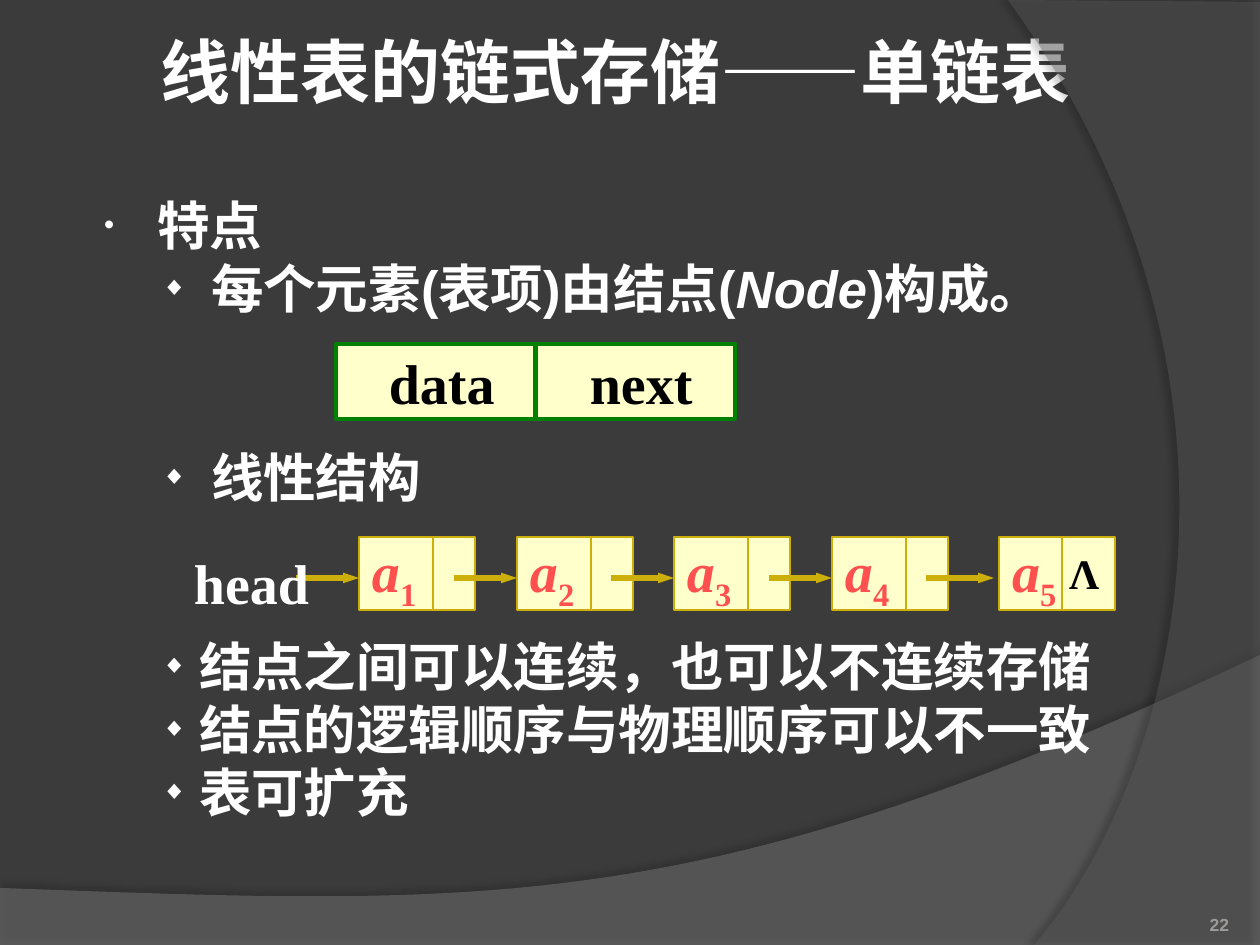
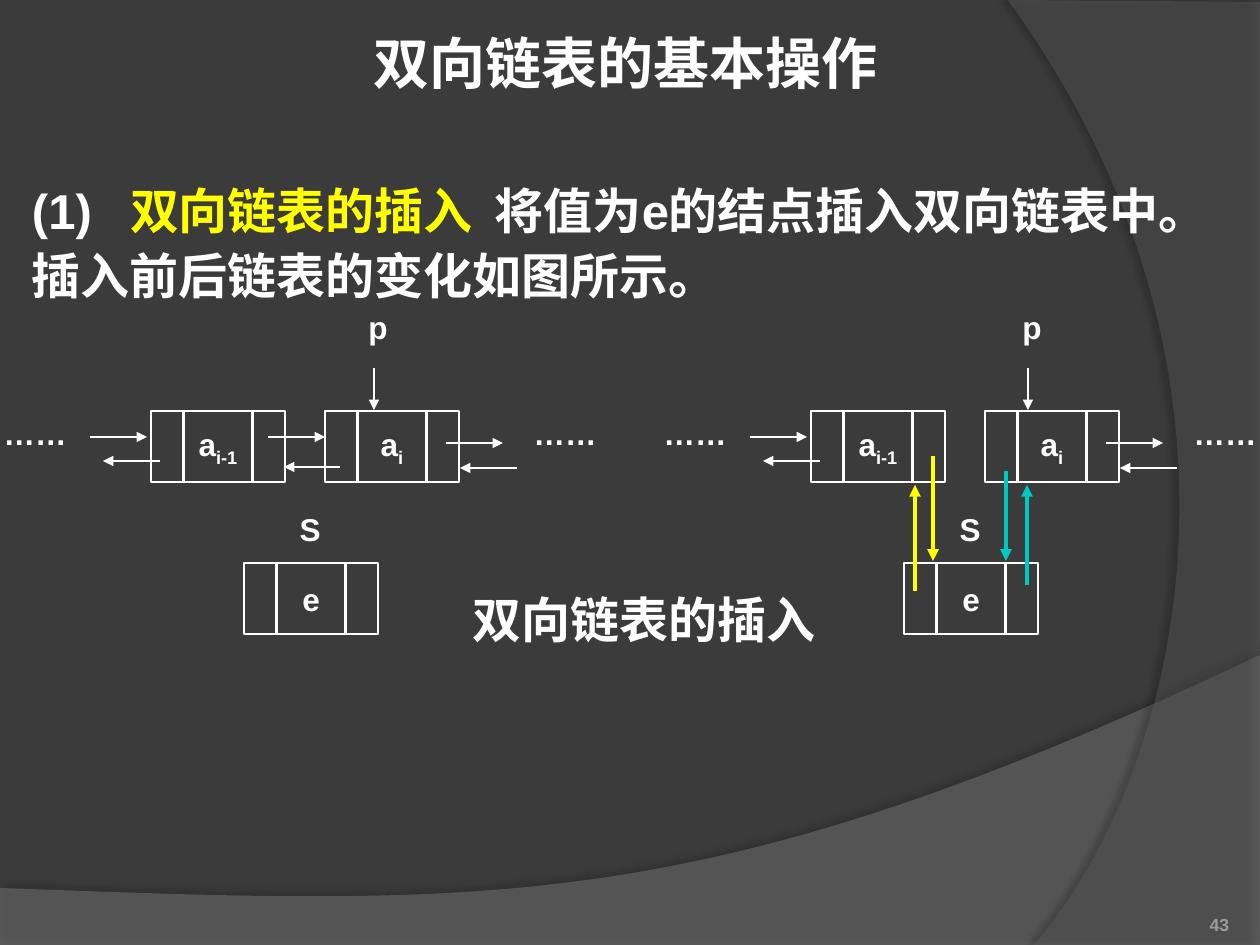
from dataclasses import dataclass
from lxml import etree
from pptx import Presentation, util as u
from pptx.dml.color import RGBColor
from pptx.enum import shapes as es, text as et
from pptx.oxml.ns import qn

SCALE = 914400 / 126
WIDE, HIGH = 1260, 945


@dataclass(frozen=True)
class Theme:
    back: str = "3B3B3B"
    wave: str = "7F7F7F"
    arc: str = "5E5E5E"
    ink: str = "FFFFFF"
    dark: str = "000000"
    faint: str = "9D9B9A"
    cream: str = "FFFFCC"
    green: str = "008000"
    gold: str = "CCAF0A"
    red: str = "FF5050"
    yellow: str = "FFFF00"
    teal: str = "00C8C3"
    sans: str = "Arial"
    serif: str = "Times New Roman"
    cjk: str = "Noto Sans CJK SC"
    head: str = "Noto Sans CJK JP"
    big: int = 40
    code: int = 32
    body: int = 30
    lead: int = 28
    mark: int = 24
    cell: int = 18
    foot: int = 10


T = Theme()
LEFT, MID, RIGHT = et.PP_ALIGN.LEFT, et.PP_ALIGN.CENTER, et.PP_ALIGN.RIGHT
TOP, CORE, BASE = et.MSO_ANCHOR.TOP, et.MSO_ANCHOR.MIDDLE, et.MSO_ANCHOR.BOTTOM
PAD = (13, 6, 0, 6)


def px(n):
    return u.Emu(round(n * SCALE))


def rgb(code):
    return RGBColor.from_string(code)


def sub(node, tag, **attrs):
    return etree.SubElement(node, qn(tag), {k: str(v) for k, v in attrs.items()})


def write(shape, *runs, size=T.cell, color=T.ink, font=T.sans, asian=T.cjk,
          align=MID, anchor=CORE, inset=(0, 0, 0, 0), line=None, before=0):
    frame = shape.text_frame
    para = frame.add_paragraph() if frame.text else frame.paragraphs[0]
    frame.word_wrap, frame.auto_size = True, et.MSO_AUTO_SIZE.NONE
    frame.vertical_anchor = anchor
    (frame.margin_left, frame.margin_top,
     frame.margin_right, frame.margin_bottom) = map(px, inset)
    para.alignment, para.space_before = align, u.Pt(before)
    if line:
        para.line_spacing = u.Pt(line)
    for item in runs:
        words, more = (item, {}) if isinstance(item, str) else item
        run = para.add_run()
        run.text = words
        run.font.size, run.font.bold = u.Pt(size), True
        run.font.italic = more.get("italic", False)
        run.font.name = font
        run.font.color.rgb = rgb(more.get("color", color))
        props = run.font._element
        sub(props, "a:ea", typeface=asian)
        if "base" in more:
            props.set("baseline", str(more["base"] * 1000))
    return para


def label(slide, box, *runs, **style):
    shape = slide.shapes.add_textbox(*map(px, box))
    write(shape, *runs, **style)
    return shape


def rect(slide, box, line=T.ink, width=1, fill=None):
    shape = slide.shapes.add_shape(es.MSO_SHAPE.RECTANGLE, *map(px, box))
    shape.shadow.inherit = False
    if fill:
        shape.fill.solid()
        shape.fill.fore_color.rgb = rgb(fill)
    else:
        shape.fill.background()
    shape.line.color.rgb, shape.line.width = rgb(line), u.Pt(width)
    return shape


def link(slide, ends, color=T.ink, width=1, tip=None):
    wire = slide.shapes.add_connector(es.MSO_CONNECTOR.STRAIGHT, *map(px, ends))
    wire.line.color.rgb, wire.line.width = rgb(color), u.Pt(width)
    props = wire._element.spPr
    if tip:
        sub(props.find(qn("a:ln")), "a:tailEnd", type="triangle", w=tip, len="med")
    sub(props, "a:effectLst")


def bezier(start, one, two, end, steps=48):
    for i in range(steps + 1):
        t = i / steps
        mix = ((1 - t) ** 3, 3 * t * (1 - t) ** 2, 3 * t * t * (1 - t), t ** 3)
        yield tuple(sum(m * p[k] for m, p in zip(mix, (start, one, two, end)))
                    for k in (0, 1))


def sheet(slide, points, fill, alpha, shade, dist, turn):
    dots = [(px(x), px(y)) for x, y in points]
    pen = slide.shapes.build_freeform(*dots[0], scale=1.0)
    pen.add_line_segments(dots[1:], close=True)
    shape = pen.convert_to_shape()
    shape.fill.solid()
    shape.fill.fore_color.rgb = rgb(fill)
    shape.line.fill.background()
    shape.shadow.inherit = False
    props = shape._element.spPr
    sub(props.find(qn("a:solidFill"))[0], "a:alpha", val=alpha * 1000)
    glow = sub(props.find(qn("a:effectLst")), "a:outerShdw", blurRad=u.Pt(4),
               dist=u.Pt(dist), dir=turn * 60000, rotWithShape=0)
    tint = sub(glow, "a:srgbClr", val=T.dark)
    sub(tint, "a:alpha", val=shade * 1000)


def page(deck, title, box, number, **style):
    slide = deck.slides.add_slide(deck.slide_layouts[5])
    wave = [(0, HIGH), (WIDE, HIGH),
            *bezier((WIDE, 655), (704, 919), (493, 906), (0, 888))]
    arc = [(WIDE, 2), (WIDE, HIGH),
           *bezier((1034, HIGH), (1178, 780), (1283, 378), (1008, 0))]
    sheet(slide, wave, T.wave, 45, 35, 3.5, 270)
    sheet(slide, arc, T.arc, 40, 45, 4, 180)
    head = slide.shapes.title
    head.left, head.top, head.width, head.height = map(px, box)
    write(head, title, **style)
    label(slide, (1124, 885, 105, 50), str(number), size=T.foot,
          color=T.faint, align=RIGHT, anchor=BASE)
    return slide


def points(slide, box):
    shape = slide.shapes.add_textbox(*map(px, box))
    rows = [
        (("特点",), "•", 55, 58, 53, 0),
        (("每个元素(表项)由结点(", ("Node", {"italic": True}), ")构成。"),
         "◆", 50, 112, 50, 0),
        (("线性结构",), "◆", 50, 112, 50, 72),
        (("结点之间可以连续，也可以不连续存储",), "◆", 50, 100, 38, 72),
        (("结点的逻辑顺序与物理顺序可以不一致",), "◆", 50, 100, 38, 0),
        (("表可扩充",), "◆", 50, 100, 38, 0),
    ]
    for runs, sign, part, left, hang, gap in rows:
        para = write(shape, *runs, size=T.body, align=LEFT, anchor=TOP,
                     inset=PAD, line=36, before=gap)
        props = para._p.get_or_add_pPr()
        props.set("marL", str(px(left)))
        props.set("indent", str(px(-hang)))
        sub(props, "a:buSzPct", val=part * 1000)
        sub(props, "a:buFont", typeface=T.sans)
        sub(props, "a:buChar", char=sign)


def record(slide, x, y, w, h):
    half = w / 2
    rect(slide, (x, y, w, h), T.green, 2.25, T.cream)
    for i, word in enumerate(("data", "next")):
        label(slide, (x + i * half + 6, y + 1, half, h), word, size=T.code,
              color=T.dark, font=T.serif)
    link(slide, (x + half, y, x + half, y + h), T.green, 3)


def single(slide, x, y):
    style = dict(font=T.serif, align=LEFT, anchor=TOP, inset=PAD)
    wide, high, mid = 116, 73, 41
    for i, at in enumerate((0, 158, 315, 473, 640), 1):
        left, last = x + at, i == 5
        cut = left + (63 if last else 74)
        rect(slide, (left, y, wide, high), T.gold, 0.75, T.cream)
        link(slide, (cut, y, cut, y + high), T.gold, 0.75)
        back, stop = (73, 5) if last else (63, 0)
        link(slide, (left - back, y + mid, left - stop, y + mid), T.gold, 3, "sm")
        label(slide, (left, y - 6, 72, 79), ("a", {"italic": True}),
              (str(i), {"base": -25}), size=T.code, color=T.red, **style)
    label(slide, (x + 697, y + 5, 55, 64), "Λ", size=T.mark, color=T.dark, **style)
    label(slide, (x - 178, y + 6, 141, 81), "head", size=T.code, **style)


def node(slide, x, y, *runs):
    for at, wide in ((0, 33), (101, 33), (32, 70)):
        shape = rect(slide, (x + at, y, wide, 71))
    write(shape, *runs)


def chain(slide, x, y, aim, wires):
    for at in (0, 530):
        label(slide, (x + at, y + 108, 70, 70), "……")
    label(slide, (x + aim - 23, y + 2, 54, 70), "p")
    label(slide, (x + 283, y + 210, 54, 57), "S")
    node(slide, x + 151, y + 121, "a", ("i-1", {"base": -25}))
    node(slide, x + 325, y + 121, "a", ("i", {"base": -25}))
    node(slide, x + 244, y + 273, "e")
    plain = [(aim, 78, aim, 120), (90, 147, 147, 147), (160, 171, 103, 171),
             (446, 153, 503, 153), (517, 178, 460, 178)]
    for ends, color, width in [(e, T.ink, 1) for e in plain] + wires:
        a, b, c, d = ends
        link(slide, (x + a, y + b, x + c, y + d), color, width, "med")


def intro(slide, box):
    shape = slide.shapes.add_textbox(*map(px, box))
    para = write(shape, "(1)\t", ("双向链表的插入", {"color": T.yellow}),
                 "\t将值为e的结点插入双向链表中。插入前后链表的变化如图所示。",
                 size=T.lead, align=LEFT, anchor=TOP, inset=PAD, line=37)
    stops = sub(para._p.get_or_add_pPr(), "a:tabLst")
    for at in (98, 463):
        sub(stops, "a:tab", pos=px(at), algn="l")


def main():
    deck = Presentation()
    deck.slide_width, deck.slide_height = px(WIDE), px(HIGH)
    fill = deck.slide_master.background.fill
    fill.solid()
    fill.fore_color.rgb = rgb(T.back)

    slide = page(deck, "线性表的链式存储——单链表", (65, 0, 1101, 141), 22,
                 size=T.big, font=T.head, asian=T.head)
    points(slide, (86, 187, 1155, 700))
    record(slide, 336, 344, 399, 75)
    single(slide, 359, 537)

    slide = page(deck, "双向链表的基本操作", (19, 16, 1213, 92), 43, size=T.code)
    intro(slide, (19, 169, 1215, 150))
    chain(slide, 0, 290, 374, [((268, 147, 325, 147), T.ink, 1),
                               ((340, 177, 284, 177), T.ink, 1)])
    chain(slide, 660, 290, 368, [((367, 295, 367, 195), T.teal, 2.25),
                                 ((346, 181, 346, 271), T.teal, 2.25),
                                 ((273, 166, 273, 271), T.yellow, 2.25),
                                 ((255, 301, 255, 195), T.yellow, 2.25)])
    label(slide, (428, 591, 432, 55), "双向链表的插入", size=T.lead, font=T.cjk)
    deck.save("out.pptx")


main()
